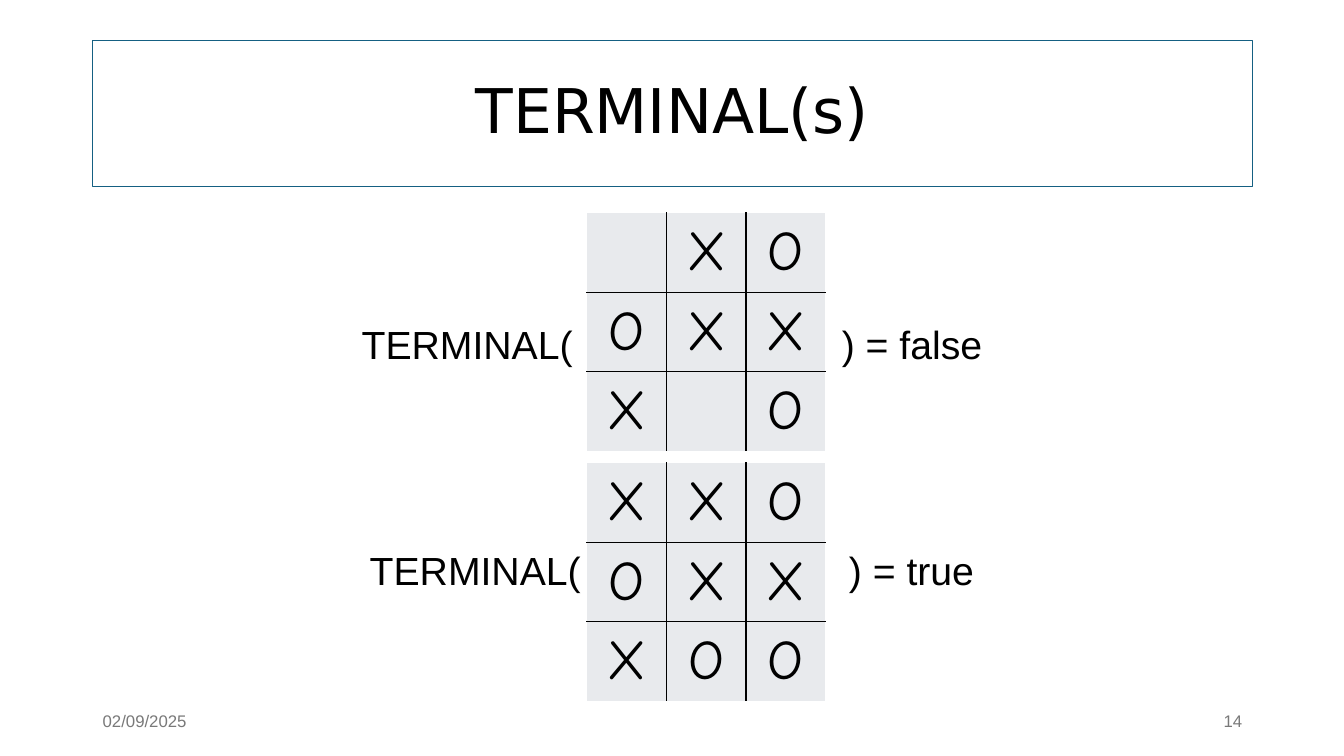
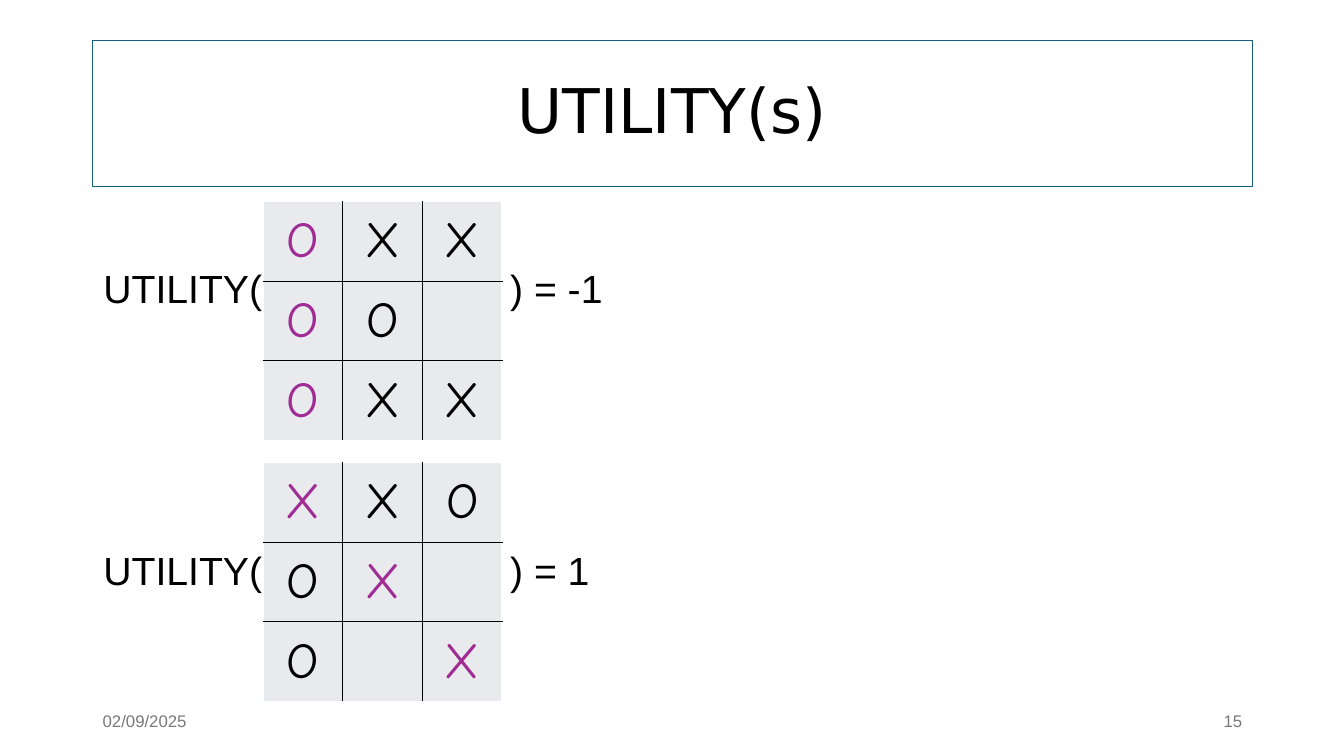
from itertools import product

from lxml import etree
from pptx import Presentation
from pptx.dml.color import RGBColor
from pptx.enum.shapes import MSO_SHAPE
from pptx.enum.text import MSO_ANCHOR, PP_ALIGN
from pptx.oxml.ns import qn
from pptx.util import Inches, Pt

COLORS = {"text": "000000", "accent": "156082", "footer": "797979",
          "cell": "E8EAED", "win": "A02B93", "edge": "FFFFFF"}
LEFT, WIDTH = 0.92, 11.5
CELL, N = 0.79, 3
LABEL_W, LABEL_H = 2.5, 0.6


def rgb(name):
    return RGBColor.from_string(COLORS[name])


def write(tf, text, size=28, font="Arial", color="text", align=PP_ALIGN.LEFT, spacing=1.0):
    tf.word_wrap = True
    tf.vertical_anchor = MSO_ANCHOR.MIDDLE
    p = tf.paragraphs[0]
    p.alignment = align
    p.line_spacing = spacing
    r = p.add_run()
    r.text = text
    r.font.size = Pt(size)
    r.font.name = font
    r.font.color.rgb = rgb(color)


def add_text(slide, box, text, inset=0.1, **style):
    tf = slide.shapes.add_textbox(*map(Inches, box)).text_frame
    tf.margin_left = tf.margin_right = Inches(inset)
    write(tf, text, **style)


def add_title(slide, text):
    sp = slide.shapes.add_shape(MSO_SHAPE.RECTANGLE, *map(Inches, (LEFT, 0.4, WIDTH, 1.45)))
    sp.shadow.inherit = False
    sp.fill.background()
    sp.line.color.rgb = rgb("accent")
    sp.line.width = Pt(0.75)
    write(sp.text_frame, text, size=44, font="DejaVu Sans", align=PP_ALIGN.CENTER, spacing=0.9)


def add_footer(slide, date, number):
    width = 3
    style = {"size": 12, "color": "footer"}
    add_text(slide, (LEFT, 6.95, width, 0.4), date, **style)
    add_text(slide, (LEFT + WIDTH - width, 6.95, width, 0.4), number,
             align=PP_ALIGN.RIGHT, **style)


def set_borders(cell, row, col):
    """Black lines inside the board, white ones around it."""
    outer = {"lnL": col == 0, "lnR": col == N - 1, "lnT": row == 0, "lnB": row == N - 1}
    tc_pr = cell._tc.get_or_add_tcPr()
    for tag, is_outer in outer.items():
        ln = etree.SubElement(tc_pr, qn(f"a:{tag}"), w=str(Pt(1)))
        fill = etree.SubElement(ln, qn("a:solidFill"))
        etree.SubElement(fill, qn("a:srgbClr"), val=COLORS["edge" if is_outer else "text"])


def add_board(slide, left, top, rows, wins, size):
    """Tic-tac-toe board; wins holds the (row, column) pairs of the winning line."""
    side = CELL * N
    table = slide.shapes.add_table(N, N, *map(Inches, (left, top, side, side))).table
    table.first_row = table.horz_banding = False
    for line in (*table.rows,):
        line.height = Inches(CELL)
    for line in (*table.columns,):
        line.width = Inches(CELL)
    for row, col in product(range(N), repeat=2):
        cell = table.cell(row, col)
        set_borders(cell, row, col)
        cell.fill.solid()
        cell.fill.fore_color.rgb = rgb("cell")
        cell.vertical_anchor = MSO_ANCHOR.MIDDLE
        mark = rows[row][col]
        if mark != "-":
            write(cell.text_frame, mark, size=size, font="Comic Neue",
                  color="win" if (row, col) in wins else "text", align=PP_ALIGN.CENTER)


def add_equation(slide, left, top, function, result, rows, middle, ends, size, wins=()):
    """Board between 'function(' and ') = result'; ends are the label edges beside it."""
    label_top = middle - LABEL_H / 2
    before, after = ends
    add_text(slide, (before - LABEL_W, label_top, LABEL_W, LABEL_H), f"{function}(",
             inset=0, align=PP_ALIGN.RIGHT)
    add_text(slide, (after, label_top, LABEL_W, LABEL_H), f") = {result}", inset=0)
    add_board(slide, left, top, rows, wins, size)


def add_function_slide(prs, function, number, left, size, equations):
    slide = prs.slides.add_slide(prs.slide_layouts[6])
    add_title(slide, f"{function}(s)")
    add_footer(slide, "02/09/2025", number)
    for equation in equations:
        add_equation(slide, left, function=function, size=size, **equation)


def main():
    prs = Presentation()
    prs.slide_width, prs.slide_height = Inches(13.33), Inches(7.5)
    add_function_slide(prs, "TERMINAL", "14", 5.82, 40, [
        {"top": 2.11, "middle": 3.41, "ends": (5.68, 8.35), "result": "false",
         "rows": ("-XO", "OXX", "X-O")},
        {"top": 4.59, "middle": 5.65, "ends": (5.76, 8.42), "result": "true",
         "rows": ("XXO", "OXX", "XOO")},
    ])
    add_function_slide(prs, "UTILITY", "15", 2.61, 36, [
        {"top": 2, "middle": 2.86, "ends": (2.6, 5.06), "result": "-1",
         "rows": ("OXX", "OO-", "OXX"), "wins": [(i, 0) for i in range(N)]},
        {"top": 4.59, "middle": 5.65, "ends": (2.6, 5.06), "result": "1",
         "rows": ("XXO", "OX-", "O-X"), "wins": [(i, i) for i in range(N)]},
    ])
    prs.save("out.pptx")


if __name__ == "__main__":
    main()
